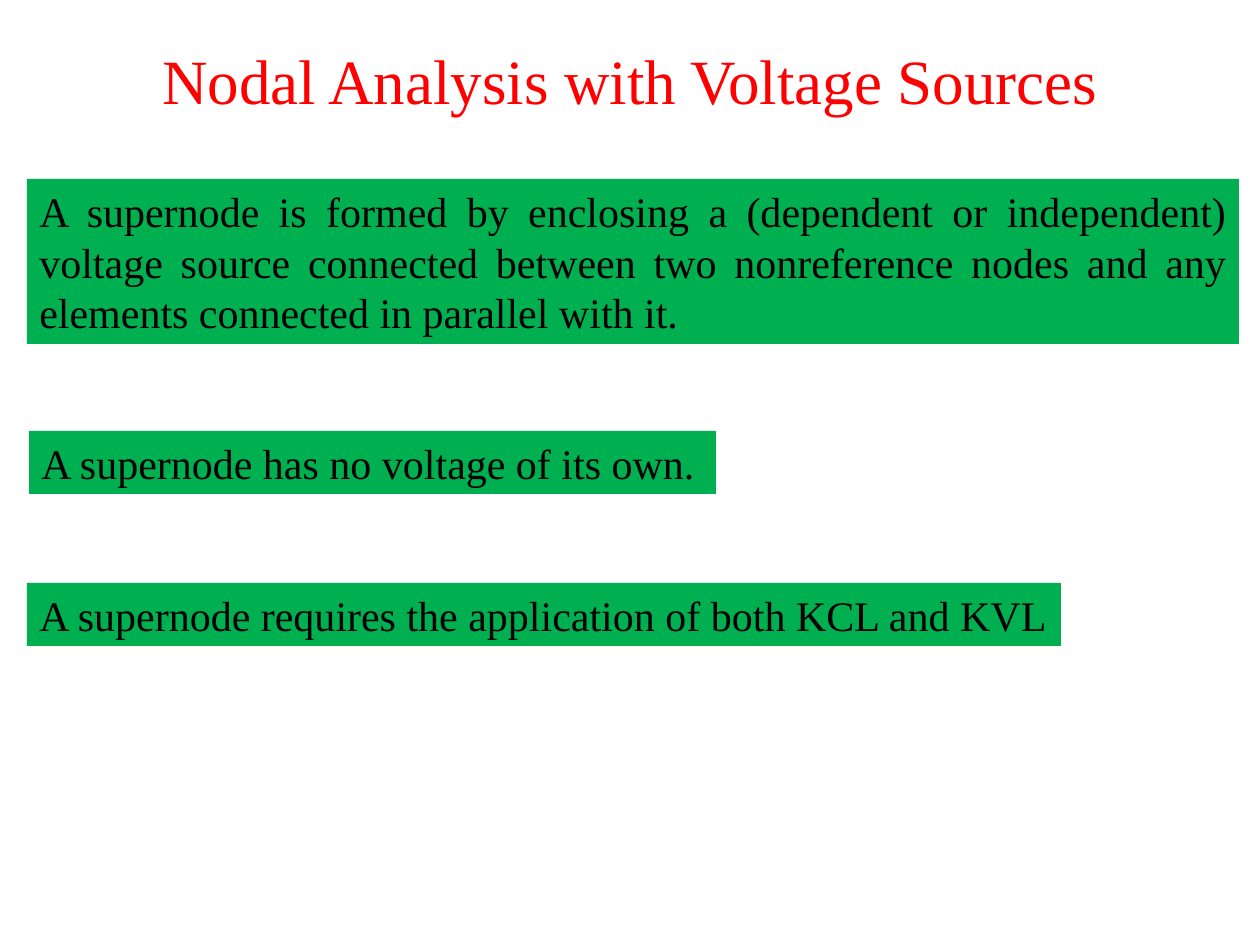
from pptx import Presentation
from pptx.dml.color import RGBColor
from pptx.enum.text import MSO_ANCHOR, MSO_AUTO_SIZE, PP_ALIGN
from pptx.util import Pt

PX = 914400 / 126
FONT = "Times New Roman"
RED = RGBColor(0xFF, 0x00, 0x00)
GREEN = RGBColor(0x00, 0xB0, 0x50)
BLACK = RGBColor(0x00, 0x00, 0x00)

TITLE = "Nodal Analysis with Voltage Sources"
TITLE_BOX = (63, 0, 1134, 158)

# text, (left, top, width, height) in px
STATEMENTS = [
    ("A supernode is formed by enclosing a (dependent or independent) "
     "voltage source connected between two nonreference nodes and any "
     "elements connected in parallel with it.", (27, 179, 1212, 165)),
    ("A supernode has no voltage of its own.", (29, 431, 687, 63)),
    ("A supernode requires the application of both KCL and KVL",
     (27, 583, 1034, 63)),
]


def emu(box):
    return [round(v * PX) for v in box]


def write(tf, text, size, color, align):
    tf.word_wrap = True
    p = tf.paragraphs[0]
    p.alignment = align
    r = p.add_run()
    r.text = text
    r.font.name = FONT
    r.font.size = Pt(size)
    r.font.color.rgb = color
    return p


def main():
    prs = Presentation()
    prs.slide_width, prs.slide_height = emu((1260, 945))
    s = prs.slides.add_slide(prs.slide_layouts[5])

    title = s.shapes.title
    title.left, title.top, title.width, title.height = emu(TITLE_BOX)
    title.text_frame.vertical_anchor = MSO_ANCHOR.MIDDLE
    write(title.text_frame, TITLE, 36, RED, PP_ALIGN.CENTER)

    for text, box in STATEMENTS:
        sp = s.shapes.add_textbox(*emu(box))
        sp.fill.solid()
        sp.fill.fore_color.rgb = GREEN
        p = write(sp.text_frame, text, 24, BLACK, PP_ALIGN.JUSTIFY)
        p.line_spacing = Pt(29)
        sp.text_frame.auto_size = MSO_AUTO_SIZE.SHAPE_TO_FIT_TEXT

    prs.save("out.pptx")


if __name__ == "__main__":
    main()
